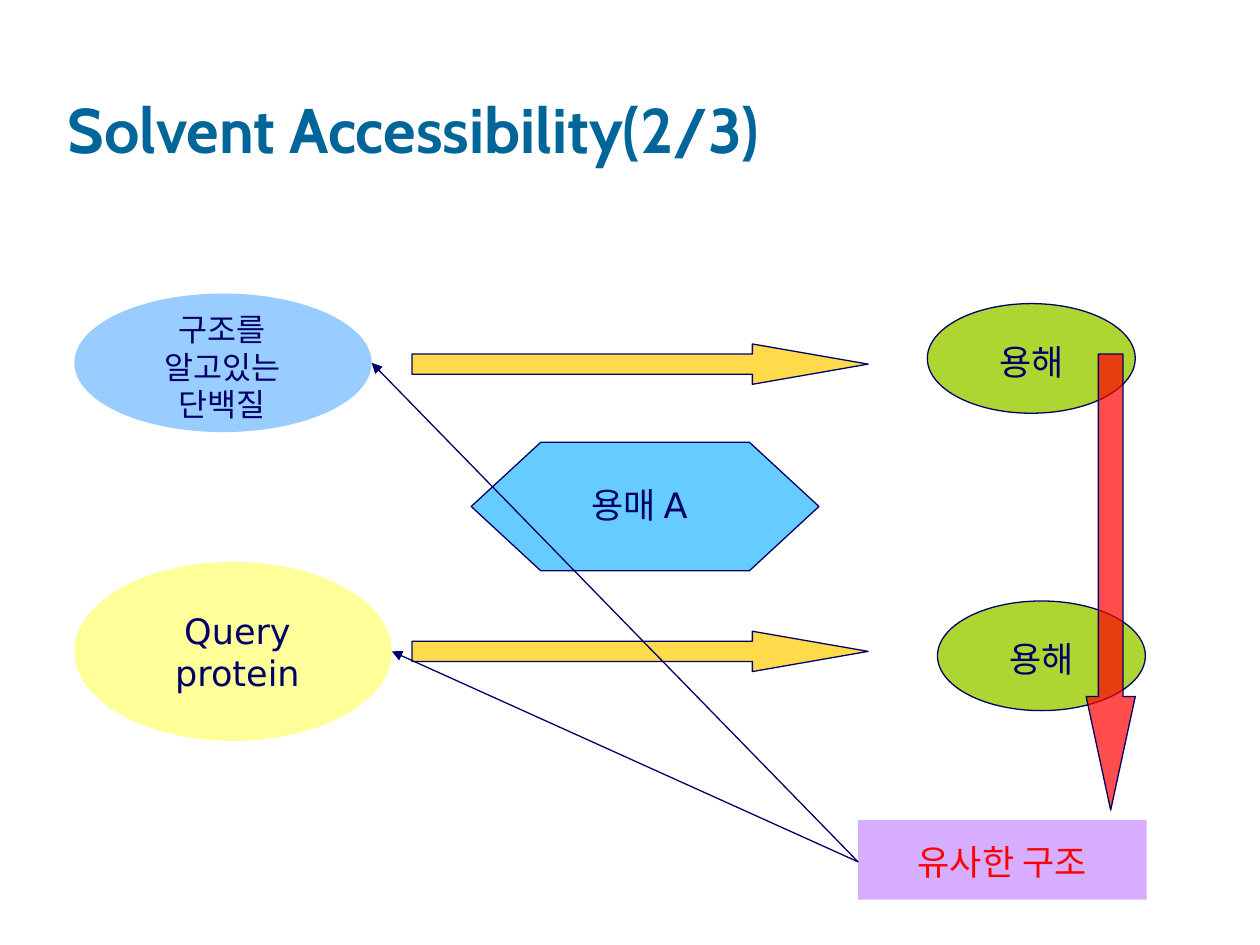
from dataclasses import dataclass

from lxml import etree
from pptx import Presentation
from pptx.dml.color import RGBColor
from pptx.enum.shapes import MSO_CONNECTOR, MSO_SHAPE
from pptx.enum.text import MSO_ANCHOR, PP_ALIGN
from pptx.oxml.ns import qn
from pptx.util import Inches, Pt

OVAL = MSO_SHAPE.OVAL
RIGHT = MSO_SHAPE.RIGHT_ARROW
DOWN = MSO_SHAPE.DOWN_ARROW
HEX = MSO_SHAPE.FLOWCHART_PREPARATION
RECT = MSO_SHAPE.RECTANGLE
STRAIGHT = MSO_CONNECTOR.STRAIGHT
LEFT, CENTER = PP_ALIGN.LEFT, PP_ALIGN.CENTER
TOP, BOTTOM = MSO_ANCHOR.TOP, MSO_ANCHOR.BOTTOM

COLORS = {
    "title": "006699", "navy": "000066", "blue": "99CCFF", "sky": "66CCFF",
    "yellow": "FFFF99", "gold": "FFCC00", "green": "99CC00",
    "red": "FF0000", "violet": "CC99FF",
}
Box = tuple[float, float, float, float]


@dataclass
class Label:
    text: str
    box: Box
    size: int = 20
    color: str = "navy"


@dataclass
class Node:
    kind: MSO_SHAPE
    box: Box
    fill: str
    alpha: int = 100
    line: bool = True
    head: float | None = None
    label: Label | None = None


def rgb(name: str) -> RGBColor:
    return RGBColor.from_string(COLORS[name])


def add_text(slide, text: str, box: Box, *, size: int = 20, color: str = "navy",
             font: str = "DejaVu Sans", bold: bool = False,
             align=CENTER, anchor=TOP) -> None:
    frame = slide.shapes.add_textbox(*map(Inches, box)).text_frame
    frame.word_wrap = True
    frame.vertical_anchor = anchor
    para = frame.paragraphs[0]
    para.alignment = align
    run = para.add_run()
    run.text = text
    run.font.name = font
    run.font.size = Pt(size)
    run.font.bold = bold
    run.font.color.rgb = rgb(color)


def add_node(slide, node: Node) -> None:
    """Draw a shape, with its label in a text box above it."""
    shape = slide.shapes.add_shape(node.kind, *map(Inches, node.box))
    shape.shadow.inherit = False
    shape.fill.solid()
    shape.fill.fore_color.rgb = rgb(node.fill)
    if node.alpha < 100:
        tint = shape._element.spPr.find(qn("a:solidFill")).find(qn("a:srgbClr"))
        etree.SubElement(tint, qn("a:alpha")).set("val", str(node.alpha * 1000))
    if node.line:
        shape.line.color.rgb = rgb("navy")
        shape.line.width = Pt(0.75)
    else:
        shape.line.fill.background()
    if node.head:
        shape.adjustments[0] = 0.5
        shape.adjustments[1] = node.head
    if node.label:
        tag = node.label
        add_text(slide, tag.text, tag.box, size=tag.size, color=tag.color)


def add_link(slide, start: tuple[float, float], end: tuple[float, float]) -> None:
    link = slide.shapes.add_connector(STRAIGHT, *map(Inches, start + end))
    link.line.color.rgb = rgb("navy")
    link.line.width = Pt(0.75)
    etree.SubElement(link.line._get_or_add_ln(), qn("a:tailEnd")).set("type", "triangle")
    etree.SubElement(link._element.spPr, qn("a:effectLst"))


def flow(top: float) -> Node:
    return Node(RIGHT, (3.27, top, 3.62, 0.32), "gold", 70, head=2.87)


def result(left: float, top: float) -> Node:
    label = Label("용해", (left + 0.32, top + 0.24, 1.02, 0.44))
    return Node(OVAL, (left, top, 1.65, 0.87), "green", 80, label=label)


NODES = [
    Node(OVAL, (0.59, 2.33, 2.36, 1.1), "blue", line=False,
         label=Label("구조를 알고있는 단백질", (0.9, 2.41, 1.73, 1), 18)),
    flow(2.73),
    result(7.36, 2.41),
    Node(OVAL, (0.59, 4.46, 2.52, 1.42), "yellow", line=False,
         label=Label("Query protein", (0.98, 4.79, 1.81, 0.77))),
    flow(5.01),
    result(7.44, 4.77),
    Node(HEX, (3.74, 3.51, 2.76, 1.02), "sky",
         label=Label("용매 A", (4.29, 3.79, 1.57, 0.44))),
    Node(DOWN, (8.62, 2.81, 0.39, 3.62), "red", 70, head=2.31),
    Node(RECT, (6.81, 6.51, 2.29, 0.63), "violet", 80, line=False,
         label=Label("유사한 구조", (6.81, 6.62, 2.29, 0.44), color="red")),
]
SOURCE = (6.81, 6.84)
ENDS = [(3.11, 5.17), (2.95, 2.88)]


def main() -> None:
    deck = Presentation()
    deck.slide_width, deck.slide_height = Inches(10), Inches(7.5)
    slide = deck.slides.add_slide(deck.slide_layouts[6])
    add_text(slide, "Solvent Accessibility(2/3)", (0.44, 0.12, 8.5, 1.25), size=36,
             color="title", font="Cabin", bold=True, align=LEFT, anchor=BOTTOM)
    for node in NODES:
        add_node(slide, node)
    for end in ENDS:
        add_link(slide, SOURCE, end)
    deck.save("out.pptx")


if __name__ == "__main__":
    main()
